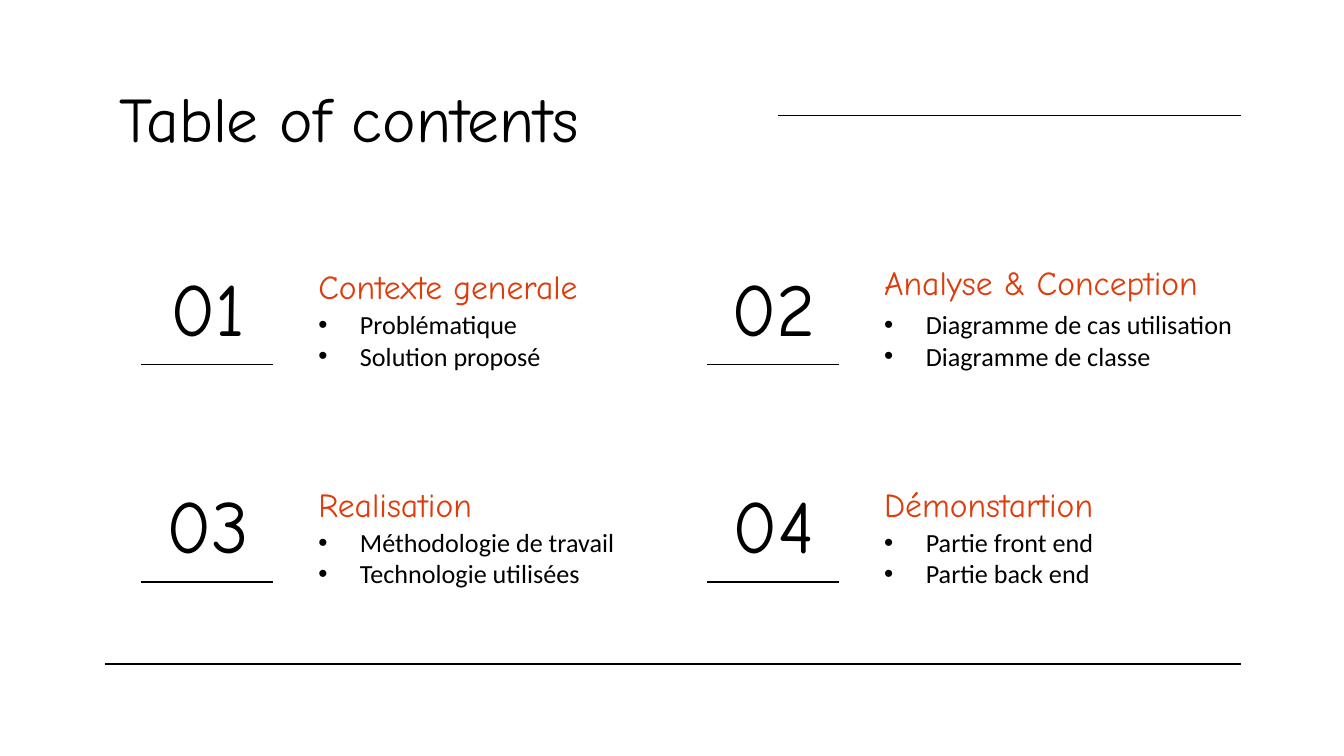
from dataclasses import dataclass

from lxml.etree import SubElement
from pptx import Presentation
from pptx.dml.color import RGBColor
from pptx.enum.shapes import MSO_CONNECTOR
from pptx.enum.text import MSO_ANCHOR, PP_ALIGN
from pptx.oxml.ns import qn
from pptx.util import Inches, Pt


@dataclass(frozen=True)
class Theme:
    ink: RGBColor = RGBColor(0x00, 0x00, 0x00)
    accent: RGBColor = RGBColor(0xDD, 0x3D, 0x0C)
    paper: RGBColor = RGBColor(0xFF, 0xFF, 0xFF)
    display: str = "Comic Neue"
    body: str = "Calibri"
    title: int = 34
    number: int = 40
    heading: int = 18
    item: int = 14
    rule: float = 0.75


THEME = Theme()
LEFT, TOP = 0.97, 1.85
COL_STEP, ROW_STEP = 4.21, 1.62

# Heading, its vertical nudge, and the two topics below it
SECTIONS = [
    ("Contexte generale", -0.01, ["Problématique", "Solution proposé"]),
    ("Analyse & Conception", -0.04,
     ["Diagramme de cas utilisation", "Diagramme de classe"]),
    ("Realisation", -0.01, ["Méthodologie de travail", "Technologie utilisées"]),
    ("Démonstartion", -0.01, ["Partie front end", "Partie back end"]),
]


def add_rule(slide, left, right, y):
    line = slide.shapes.add_connector(
        MSO_CONNECTOR.STRAIGHT, Inches(left), Inches(y), Inches(right), Inches(y))
    line.line.color.rgb = THEME.ink
    line.line.width = Pt(THEME.rule)
    SubElement(line._element.spPr, qn("a:effectLst"))


def add_text(slide, text, box, size, font=THEME.display, color=THEME.ink,
             anchor=MSO_ANCHOR.MIDDLE, align=PP_ALIGN.LEFT):
    """Add a text box, one paragraph per line of text, and return its frame."""
    frame = slide.shapes.add_textbox(*map(Inches, box)).text_frame
    frame.word_wrap = True
    frame.vertical_anchor = anchor
    frame.margin_left = frame.margin_right = Inches(0.1)
    frame.margin_top = frame.margin_bottom = Inches(0.1)
    frame.text = text
    for para in frame.paragraphs:
        para.alignment = align
        for run in para.runs:
            run.font.name = font
            run.font.size = Pt(size)
            run.font.color.rgb = color
    return frame


def add_list(slide, items, box):
    frame = add_text(slide, "\n".join(items), box, THEME.item, THEME.body)
    for para in frame.paragraphs:
        props = para._p.get_or_add_pPr()
        props.set("marL", str(Inches(0.31)))
        props.set("indent", str(-Inches(0.31)))
        color = SubElement(props, qn("a:buClr"))
        SubElement(color, qn("a:srgbClr"), val=str(THEME.ink))
        SubElement(props, qn("a:buFont"), typeface="Arial")
        SubElement(props, qn("a:buChar"), char="•")


def add_section(slide, index, heading, nudge, items):
    row, col = divmod(index, 2)
    x, y = LEFT + col * COL_STEP, TOP + row * ROW_STEP
    add_text(slide, f"{index + 1:02d}", (x, y, 1.15, 0.86), THEME.number,
             align=PP_ALIGN.CENTER)
    add_rule(slide, x + 0.08, x + 1.06, y + 0.86)
    add_text(slide, heading, (x + 1.3, y + nudge, 3.11, 0.58), THEME.heading,
             color=THEME.accent)
    add_list(slide, items, (x + 1.3, y + 0.39, 2.89 if index == 1 else 2.55, 0.58))


def main():
    deck = Presentation()
    deck.slide_width = Inches(10)
    deck.slide_height = Inches(10) * 9 // 16
    slide = deck.slides.add_slide(deck.slide_layouts[6])
    slide.background.fill.solid()
    slide.background.fill.fore_color.rgb = THEME.paper

    add_rule(slide, 5.79, 9.23, 0.86)
    add_rule(slide, 0.78, 9.23, 4.94)
    add_text(slide, "Table of contents", (0.79, 0.49, 8.43, 0.63), THEME.title,
             anchor=MSO_ANCHOR.TOP)
    for index, section in enumerate(SECTIONS):
        add_section(slide, index, *section)

    deck.save("out.pptx")


if __name__ == "__main__":
    main()
